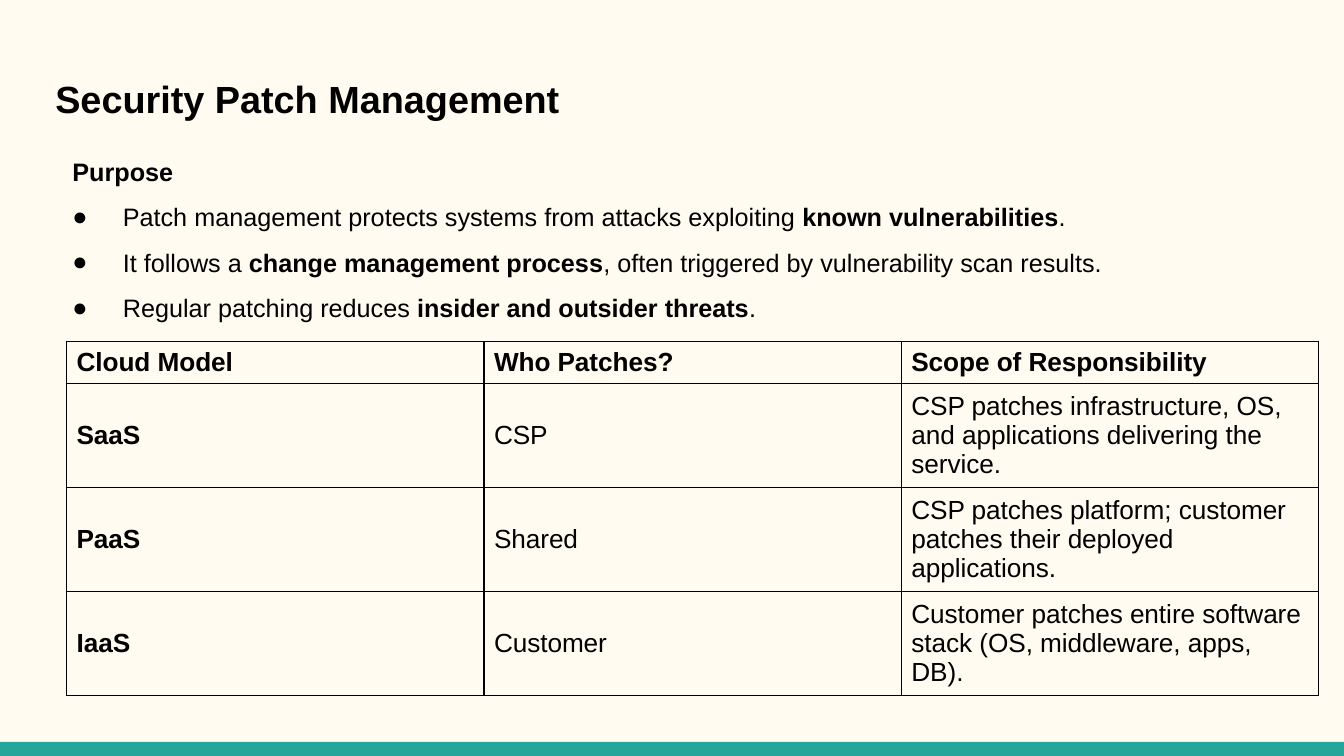
import pptx
import pptx.util
import pptx.dml.color
import pptx.enum.shapes
import pptx.enum.text
import pptx.oxml
import pptx.oxml.ns

THEME = {
    "font": "Arial",
    "ink": "000000", "paper": "FFFBF0", "accent": "26A69A",
    "title": 27, "body": 18, "table": 18.67,
}
A_NS = pptx.oxml.ns.nsdecls("a")
rgb = pptx.dml.color.RGBColor.from_string
inch = pptx.util.Inches


def set_font(p, size, bold=None):
    p.font.name = THEME["font"]
    p.font.size = pptx.util.Pt(size)
    p.font.color.rgb = rgb(THEME["ink"])
    p.font.bold = bold


def add_text_frame(s, top, height):
    tf = s.shapes.add_textbox(left, top, width, height).text_frame
    tf.word_wrap = True
    tf.margin_left = tf.margin_right = tf.margin_top = tf.margin_bottom = inch(0.1)
    return tf


prs = pptx.Presentation()
prs.slide_width, prs.slide_height = inch(13.33), inch(7.5)
s = prs.slides.add_slide(prs.slide_layouts[6])
s.background.fill.solid()
s.background.fill.fore_color.rgb = rgb(THEME["paper"])

left, width = inch(0.45), inch(12.42)
bar_height = inch(0.14)
sp = s.shapes.add_shape(
    pptx.enum.shapes.MSO_SHAPE.RECTANGLE,
    0, prs.slide_height - bar_height, prs.slide_width, bar_height)
sp.shadow.inherit = False
sp.fill.solid()
sp.fill.fore_color.rgb = rgb(THEME["accent"])
sp.line.fill.background()

p = add_text_frame(s, inch(0.65), inch(0.89)).paragraphs[0]
p.text = "Security Patch Management"
set_font(p, THEME["title"], True)

tf = add_text_frame(s, inch(1.3), inch(5.36))
p = tf.paragraphs[0]
p.text = "Purpose"
p.line_spacing = 1.5
set_font(p, THEME["body"], True)
p._p.get_or_add_pPr().set("marL", str(inch(0.17)))

bullets = [
    ("Patch management protects systems from attacks exploiting ", "known vulnerabilities", "."),
    ("It follows a ", "change management process", ", often triggered by vulnerability scan results."),
    ("Regular patching reduces ", "insider and outsider threats", "."),
]
for parts in bullets:
    p = tf.add_paragraph()
    p.line_spacing = 1.5
    set_font(p, THEME["body"])
    for i, part in enumerate(parts):
        r = p.add_run()
        r.text = part
        r.font.bold = i == 1
    pPr = p._p.get_or_add_pPr()
    pPr.set("marL", str(inch(0.67)))
    pPr.set("indent", str(-inch(0.5)))
    marks = [
        f'<a:buClr {A_NS}><a:srgbClr val="{THEME["ink"]}"/></a:buClr>',
        f'<a:buFont {A_NS} typeface="{THEME["font"]}"/>',
        f'<a:buChar {A_NS} char="●"/>',
    ]
    at = list(pPr).index(pPr.find(pptx.oxml.ns.qn("a:defRPr")))
    for i, mark in enumerate(marks):
        pPr.insert(at + i, pptx.oxml.parse_xml(mark))

rows = [
    ("Cloud Model", "Who Patches?", "Scope of Responsibility"),
    ("SaaS", "CSP", "CSP patches infrastructure, OS, and applications delivering the service."),
    ("PaaS", "Shared", "CSP patches platform; customer patches their deployed applications."),
    ("IaaS", "Customer", "Customer patches entire software stack (OS, middleware, apps, DB)."),
]
row_heights = [0.41] + [1.03] * 3
table = s.shapes.add_table(
    len(rows), 3, inch(0.66), inch(3.39), width, inch(sum(row_heights))).table
table.horz_banding = table.first_row = False
for i, texts in enumerate(rows):
    table.rows[i].height = inch(row_heights[i])
    for j, text in enumerate(texts):
        cell = table.cell(i, j)
        cell.vertical_anchor = pptx.enum.text.MSO_ANCHOR.MIDDLE
        p = cell.text_frame.paragraphs[0]
        p.text = text
        set_font(p, THEME["table"], i == 0 or j == 0)
        tcPr = cell._tc.get_or_add_tcPr()
        for side in ("lnL", "lnR", "lnT", "lnB"):
            tcPr.append(pptx.oxml.parse_xml(
                f'<a:{side} {A_NS} w="{pptx.util.Pt(1)}"><a:solidFill>'
                f'<a:srgbClr val="{THEME["ink"]}"/></a:solidFill></a:{side}>'))
        cell.fill.background()

prs.save("out.pptx")
